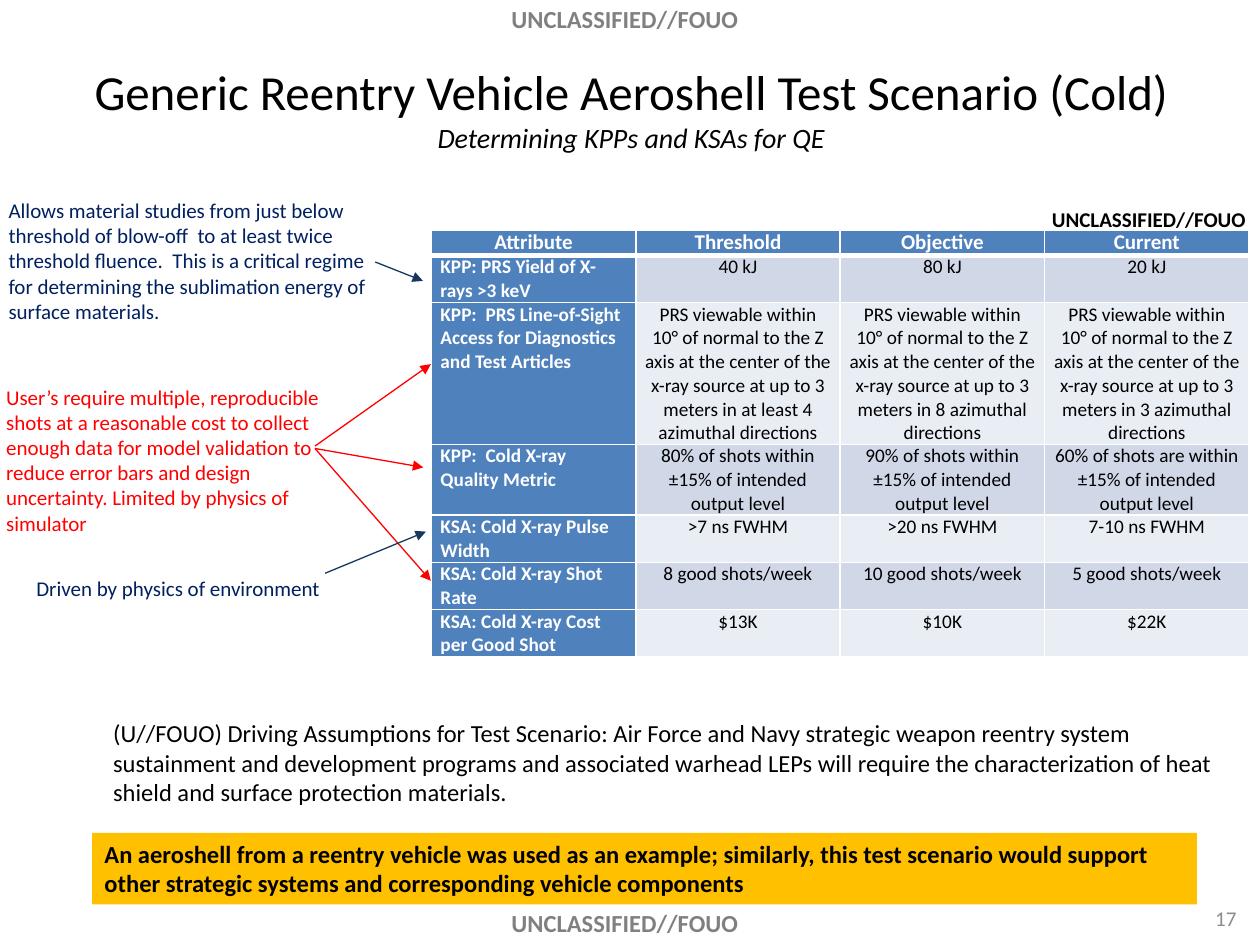
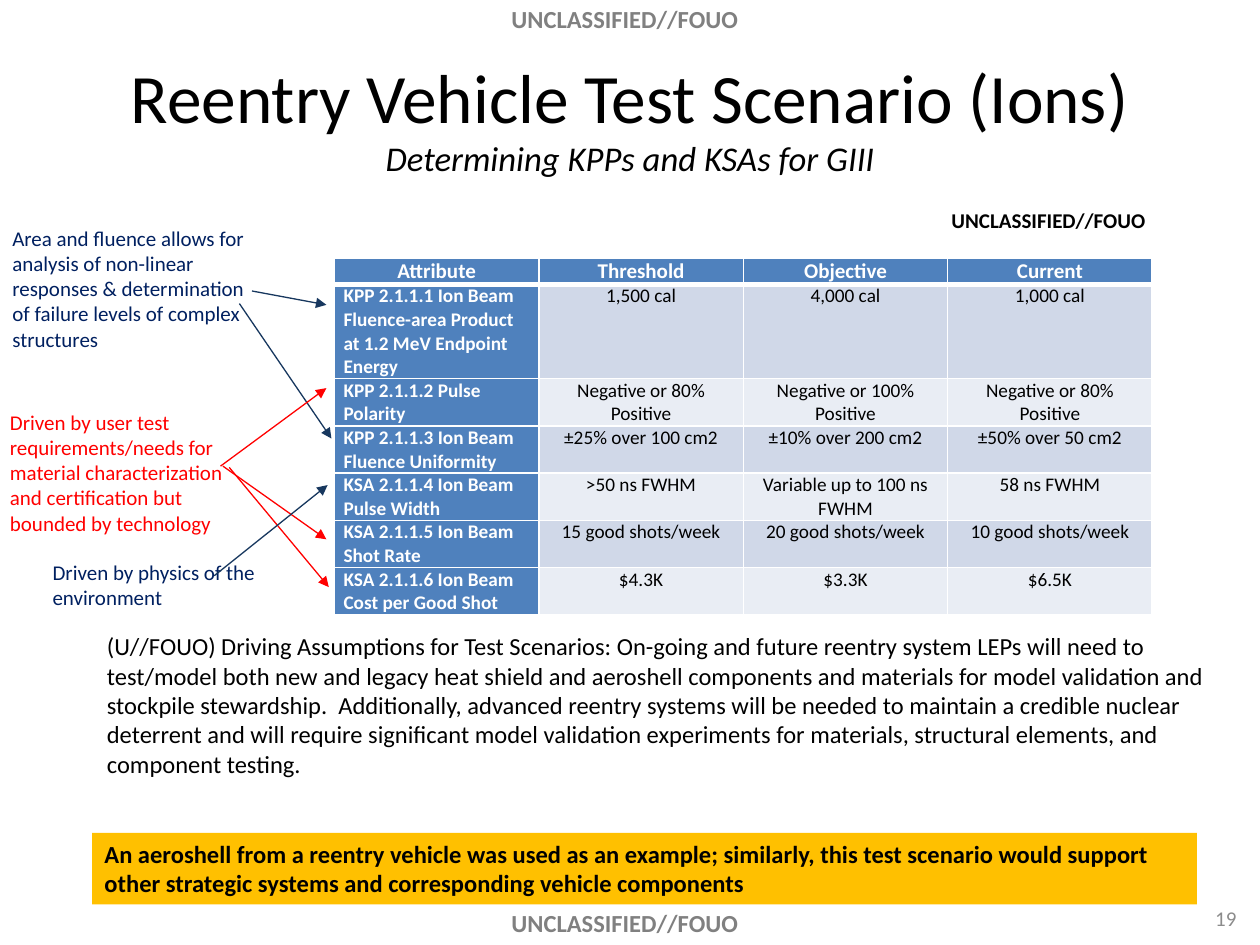
from copy import deepcopy

from lxml import etree
from pptx import Presentation
from pptx.dml.color import RGBColor
from pptx.enum.shapes import MSO_CONNECTOR, MSO_SHAPE
from pptx.enum.text import MSO_ANCHOR, MSO_AUTO_SIZE, PP_ALIGN
from pptx.oxml import parse_xml
from pptx.oxml.ns import nsdecls, qn
from pptx.util import Pt

BLACK = RGBColor(0, 0, 0)
WHITE = RGBColor(255, 255, 255)
MARKING_GRAY = RGBColor(0x80, 0x80, 0x80)
NUMBER_GRAY = RGBColor(0x8C, 0x8C, 0x8C)
NAVY = RGBColor(0x00, 0x20, 0x60)
ARROW_NAVY = RGBColor(0x17, 0x37, 0x5E)
RED = RGBColor(255, 0, 0)
AMBER = RGBColor(0xFF, 0xC0, 0x00)
HEADER_BLUE = RGBColor(0x4F, 0x81, 0xBD)
BANDS = (RGBColor(0xD0, 0xD8, 0xE8), RGBColor(0xE9, 0xED, 0xF4))

FONT = "Calibri"
MARKING = "UNCLASSIFIED//FOUO"
TAKEAWAY = ("An aeroshell from a reentry vehicle was used as an example; similarly, "
            "this test scenario would support other strategic systems and "
            "corresponding vehicle components")
ATTRIBUTES = ("Attribute", "Threshold", "Objective", "Current")
MARKING_BOXES = ((228.2, -1.4, 257.8, 24.5), (228.2, 515.5, 257.8, 24.5))
NUMBER_BOX = (545.8, 510.5, 167.8, 28.8)
TAKEAWAY_BOX = (52.6, 475.9, 631.4, 41)
COLUMN_WIDTH = 116.82
HEADER_HEIGHT = 14.6
LINE_HEIGHT = 13.5

VIEWABLE = ("PRS viewable within 10° of normal to the Z axis at the center of the "
            "x-ray source at up to 3 meters in {} azimuthal directions")

COLD = {
    "number": "17",
    "title": ("Generic Reentry Vehicle Aeroshell Test Scenario (Cold)", 28,
              "Determining KPPs and KSAs for QE", 16),
    "title_box": (36.7, 16.6, 648, 90),
    "table_origin": (246.5, 131.3),
    "line_counts": (2, 6, 3, 2, 2, 2),
    "rows": (
        ("KPP: PRS Yield of X-rays >3 keV", "40 kJ", "80 kJ", "20 kJ"),
        ("KPP:  PRS Line-of-Sight Access for Diagnostics and Test Articles",
         *(VIEWABLE.format(count) for count in ("at least 4", "8", "3"))),
        ("KPP:  Cold X-ray Quality Metric",
         "80% of shots within ±15% of intended output level",
         "90% of shots within ±15% of intended output level",
         "60% of shots are within ±15% of intended output level"),
        ("KSA: Cold X-ray Pulse Width", ">7 ns FWHM", ">20 ns FWHM", "7-10 ns FWHM"),
        ("KSA: Cold X-ray Shot Rate", "8 good shots/week", "10 good shots/week",
         "5 good shots/week"),
        ("KSA: Cold X-ray Cost per Good Shot", "$13K", "$10K", "$22K"),
    ),
    "marking_box": (594, 114.5, 132.5, 21.6),
    "marking_align": PP_ALIGN.LEFT,
    "callouts": (
        ((-2.2, 109.4, 231.8, 80),
         "Allows material studies from just below threshold of blow-off  to at least "
         "twice threshold fluence.  This is a critical regime for determining the "
         "sublimation energy of surface materials.",
         NAVY, ARROW_NAVY, ((216.6, 40.3, 243.9, 51.1),)),
        ((-3.6, 216, 198, 94.3),
         "User’s require multiple, reproducible shots at a reasonable cost to collect "
         "enough data for model validation to reduce error bars and design "
         "uncertainty. Limited by physics of simulator",
         RED, RED, ((183.6, 38.9, 249.8, -7.9), (183.6, 40.3, 245.5, 51.1),
                    (183.6, 40.3, 249.8, 115.9))),
        ((13.7, 325.4, 185.8, 21.6), "Driven by physics of environment",
         NAVY, ARROW_NAVY, ((172.1, 2.2, 229.7, -21.6),)),
    ),
    "assumptions_box": (57.6, 406.8, 643, 58.3),
    "assumptions":
        "(U//FOUO) Driving Assumptions for Test Scenario: Air Force and Navy strategic "
        "weapon reentry system sustainment and development programs and associated "
        "warhead LEPs will require the characterization of heat shield and surface "
        "protection materials.",
}

IONS = {
    "number": "19",
    "title": ("Reentry Vehicle Test Scenario (Ions)", 39.6,
              "Determining KPPs and KSAs for GIII", 19.8),
    "title_box": (36, 21.6, 648, 90),
    "table_origin": (191.1, 147.8),
    "line_counts": (4, 2, 2, 2, 2, 2),
    "rows": (
        ("KPP 2.1.1.1 Ion Beam Fluence-area Product at 1.2 MeV Endpoint Energy",
         "1,500 cal", "4,000 cal", "1,000 cal"),
        ("KPP 2.1.1.2 Pulse Polarity", "Negative or 80% Positive",
         "Negative or 100% Positive", "Negative or 80% Positive"),
        ("KPP 2.1.1.3 Ion Beam Fluence Uniformity", "±25% over 100 cm2",
         "±10% over 200 cm2", "±50% over 50 cm2"),
        ("KSA 2.1.1.4 Ion Beam Pulse Width", ">50 ns FWHM",
         "Variable up to 100 ns FWHM", "58 ns FWHM"),
        ("KSA 2.1.1.5 Ion Beam Shot Rate", "15 good shots/week",
         "20 good shots/week", "10 good shots/week"),
        ("KSA 2.1.1.6 Ion Beam Cost per Good Shot", "$4.3K", "$3.3K", "$6.5K"),
    ),
    "marking_box": (532.1, 115.2, 129.6, 21.6),
    "marking_align": PP_ALIGN.RIGHT,
    "callouts": (
        ((0, 125.3, 149, 80),
         "Area and fluence allows for analysis of non-linear responses & determination "
         "of failure levels of complex structures",
         NAVY, ARROW_NAVY, ((144, 41, 186.5, 48.9), (136.8, 48.2, 189.4, 125.3))),
        ((-1.4, 230.4, 139.7, 80),
         "Driven by user test requirements/needs for material characterization and "
         "certification but bounded by technology",
         RED, RED, ((127.4, 36, 187.9, -8.6), (128.8, 36, 187.9, 77.8),
                    (132.4, 36.7, 189.3, 105.1))),
        ((23, 316.1, 139.7, 36), "Driven by physics of the environment",
         NAVY, ARROW_NAVY, ((99.4, 12.9, 164.2, -38.9),)),
    ),
    "assumptions_box": (54, 357.1, 659.5, 92.2),
    "assumptions":
        "(U//FOUO) Driving Assumptions for Test Scenarios: On-going and future reentry "
        "system LEPs will need to test/model both new and legacy heat shield and "
        "aeroshell components and materials for model validation and stockpile "
        "stewardship.  Additionally, advanced reentry systems will be needed to "
        "maintain a credible nuclear deterrent and will require significant model "
        "validation experiments for materials, structural elements, and component "
        "testing.",
}


def points(values):
    """Convert plain numbers to point lengths."""
    return [Pt(value) for value in values]


def style_font(font, size, color, **extras):
    """Apply the deck font with the given format values."""
    font.color.rgb = color
    for attribute, value in {"name": FONT, "size": Pt(size), **extras}.items():
        setattr(font, attribute, value)


def write(frame, text, size, color, align=PP_ALIGN.LEFT, anchor=MSO_ANCHOR.TOP, **extras):
    """Fill a text frame with one formatted paragraph."""
    frame.word_wrap = True
    frame.vertical_anchor = anchor
    paragraph = frame.paragraphs[0]
    paragraph.alignment = align
    run = paragraph.add_run()
    run.text = text
    style_font(run.font, size, color, **extras)


def add_text(slide, box, text, size, color, **formatting):
    """Place a wrapped text box."""
    write(slide.shapes.add_textbox(*points(box)).text_frame, text, size, color, **formatting)


def add_band(slide, box, fill, text, color, align=PP_ALIGN.LEFT):
    """Place a filled rectangle with bold text."""
    band = slide.shapes.add_shape(MSO_SHAPE.RECTANGLE, *points(box))
    band.shadow.inherit = False
    band.fill.solid()
    band.fill.fore_color.rgb = fill
    band.line.fill.background()
    write(band.text_frame, text, 14, color, align, bold=True)


def add_title(slide, box, title, title_size, subtitle, subtitle_size):
    """Fill the title placeholder with a heading and an italic second line."""
    heading = slide.shapes.title
    heading.left, heading.top, heading.width, heading.height = points(box)
    frame = heading.text_frame
    frame.auto_size = MSO_AUTO_SIZE.NONE
    write(frame, title, title_size, BLACK, PP_ALIGN.CENTER, MSO_ANCHOR.MIDDLE)
    paragraph = frame.paragraphs[0]
    title_run = paragraph.runs[0]
    paragraph.add_line_break()
    paragraph._p[-1].append(deepcopy(title_run._r.rPr))
    subtitle_run = paragraph.add_run()
    subtitle_run.text = subtitle
    style_font(subtitle_run.font, subtitle_size, BLACK, italic=True)


def add_arrow(slide, color, start_x, start_y, end_x, end_y):
    """Draw a thin line ending in a triangle."""
    arrow = slide.shapes.add_connector(
        MSO_CONNECTOR.STRAIGHT, *points((start_x, start_y, end_x, end_y)))
    arrow.line.color.rgb = color
    arrow.line.width = Pt(0.75)
    etree.SubElement(arrow.line._ln, qn("a:tailEnd"), type="triangle")
    etree.SubElement(arrow._element.spPr, qn("a:effectLst"))


def add_callout(slide, box, text, color, arrow_color, arrows):
    """Place a note and its arrows, measured from the note's corner."""
    add_text(slide, box, text, 12, color)
    left, top = box[:2]
    for start_x, start_y, end_x, end_y in arrows:
        add_arrow(slide, arrow_color, left + start_x, top + start_y, left + end_x, top + end_y)


def set_borders(cell, top, bottom):
    """Give a cell white borders, with its own top and bottom widths."""
    properties = cell._tc.get_or_add_tcPr()
    sides = (("lnL", 1), ("lnR", 1), ("lnT", top), ("lnB", bottom))
    for position, (side, width) in enumerate(sides):
        properties.insert(position, parse_xml(
            f'<a:{side} {nsdecls("a")} w="{Pt(width)}"><a:solidFill>'
            f'<a:srgbClr val="{WHITE}"/></a:solidFill></a:{side}>'))


def add_attribute_table(slide, origin, rows, line_counts):
    """Build the attribute table with blue headings and banded values."""
    heights = [HEADER_HEIGHT] + [count * LINE_HEIGHT for count in line_counts]
    size = (COLUMN_WIDTH * len(ATTRIBUTES), sum(heights))
    table = slide.shapes.add_table(
        len(heights), len(ATTRIBUTES), *points((*origin, *size))).table
    table.first_col = True
    for column in table.columns:
        column.width = Pt(COLUMN_WIDTH)
    for row_index, texts in enumerate((ATTRIBUTES, *rows)):
        table.rows[row_index].height = Pt(heights[row_index])
        is_header = row_index == 0
        for column_index, text in enumerate(texts):
            cell = table.cell(row_index, column_index)
            is_label = column_index == 0
            is_heading = is_header or is_label
            cell.margin_left = cell.margin_right = Pt(5.2)
            cell.margin_top = cell.margin_bottom = 0
            cell.fill.solid()
            cell.fill.fore_color.rgb = HEADER_BLUE if is_heading else BANDS[(row_index - 1) % 2]
            set_borders(cell, 3 if row_index == 1 else 1, 3 if is_header else 1)
            write(cell.text_frame, text, 12 if is_header else 11,
                  WHITE if is_heading else BLACK,
                  PP_ALIGN.LEFT if is_label and not is_header else PP_ALIGN.CENTER,
                  bold=is_heading)


def add_scenario_slide(deck, scenario):
    """Build one test scenario slide."""
    slide = deck.slides.add_slide(deck.slide_layouts[5])
    for box in MARKING_BOXES:
        add_band(slide, box, WHITE, MARKING, MARKING_GRAY, PP_ALIGN.CENTER)
    add_text(slide, NUMBER_BOX, scenario["number"], 12, NUMBER_GRAY,
             align=PP_ALIGN.RIGHT, anchor=MSO_ANCHOR.MIDDLE)
    add_title(slide, scenario["title_box"], *scenario["title"])
    add_attribute_table(slide, scenario["table_origin"], scenario["rows"],
                        scenario["line_counts"])
    for callout in scenario["callouts"]:
        add_callout(slide, *callout)
    add_text(slide, scenario["assumptions_box"], scenario["assumptions"], 14, BLACK)
    add_text(slide, scenario["marking_box"], MARKING, 12, BLACK,
             align=scenario["marking_align"], bold=True)
    add_band(slide, TAKEAWAY_BOX, AMBER, TAKEAWAY, BLACK)


def main():
    """Build and save the deck."""
    deck = Presentation()
    deck.slide_width, deck.slide_height = points((720, 540))
    for scenario in (COLD, IONS):
        add_scenario_slide(deck, scenario)
    deck.save("out.pptx")


if __name__ == "__main__":
    main()
